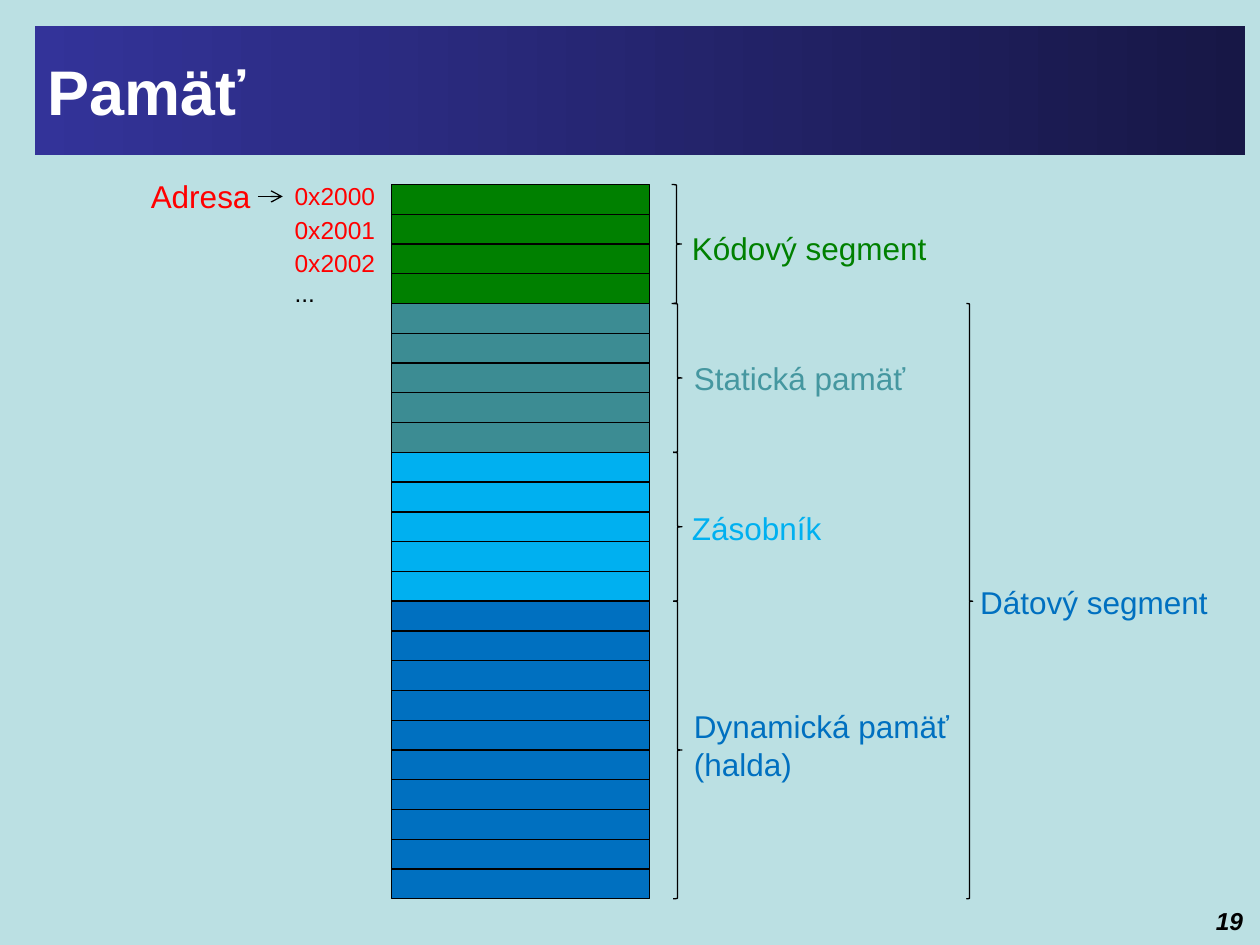
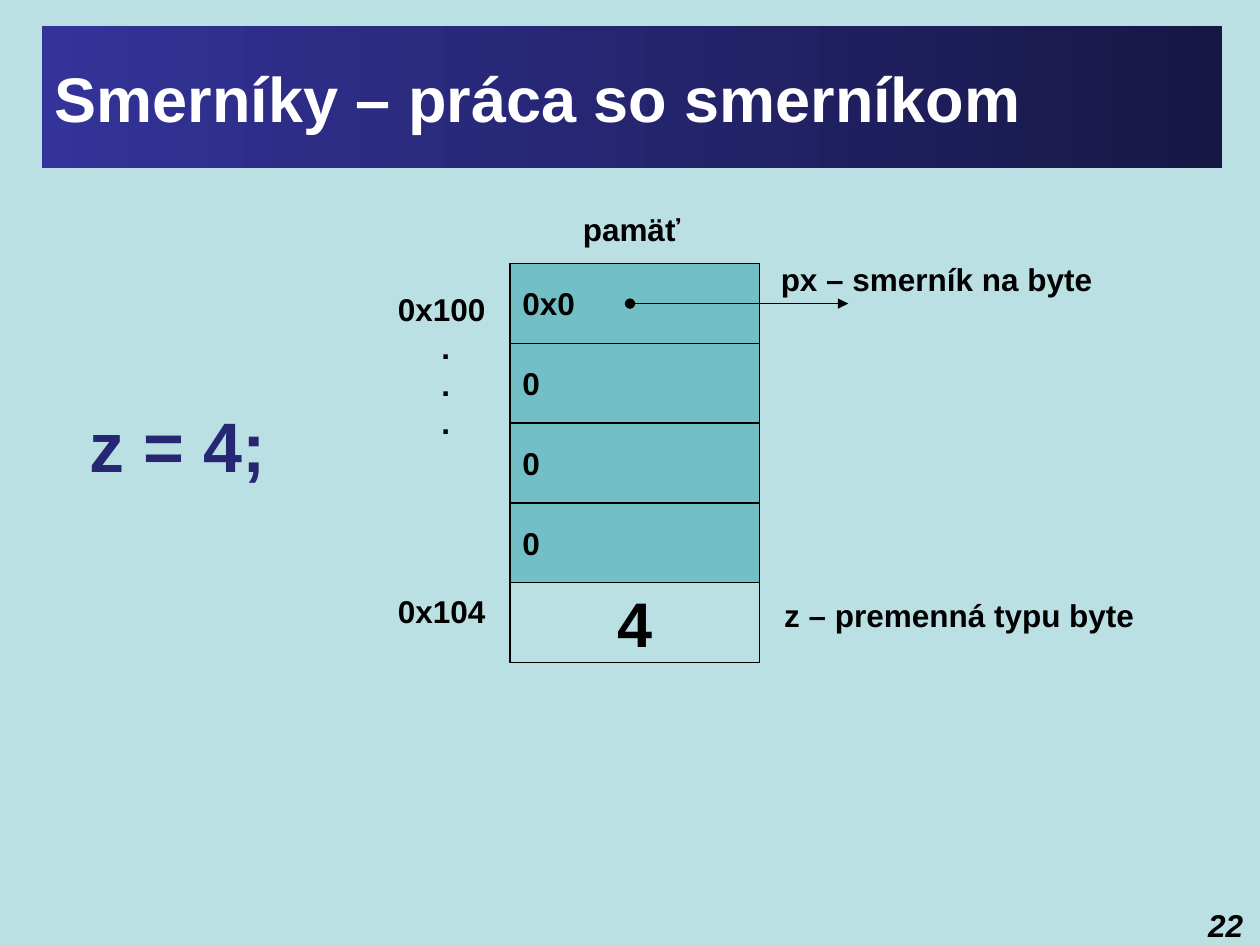
from lxml.etree import SubElement
from pptx import Presentation
from pptx.dml.color import RGBColor
from pptx.enum.shapes import MSO_CONNECTOR, MSO_SHAPE
from pptx.enum.text import MSO_ANCHOR, MSO_AUTO_SIZE, PP_ALIGN
from pptx.oxml.ns import qn
from pptx.util import Cm, Pt

BACKDROP = "BBE0E3"
BLACK = "000000"
WHITE = "FFFFFF"
RED = "FF0000"
NAVY = "262673"
BAND = ("333399", "171746")
GREEN = "008000"
TEAL = "3C8C93"
TEAL_TEXT = "4597A0"
SKY = "00B0F0"
BLUE = "0070C0"
POINTER_FILL = "72BFC5"


def rgb(value):
    """Turn a hex string into a colour."""
    return RGBColor.from_string(value)


class Deck:
    """Holds the shared style and the slide being built."""

    font_name = "Arial"
    rule = Pt(0.75)

    def __init__(self):
        """Start a 4:3 presentation with the shared background."""
        self.presentation = Presentation()
        self.presentation.slide_width = Cm(25.4)
        self.presentation.slide_height = Cm(19.05)
        backdrop = self.presentation.slide_master.background.fill
        backdrop.solid()
        backdrop.fore_color.rgb = rgb(BACKDROP)
        self.slide = None

    def style(self, paragraph, size, color, bold=False, italic=False, align=PP_ALIGN.LEFT):
        """Set the font and alignment of a paragraph."""
        paragraph.alignment = align
        font = paragraph.font
        font.name, font.size = self.font_name, Pt(size)
        font.bold, font.italic = bold, italic
        font.color.rgb = rgb(color)

    def new_slide(self, heading, left, width, height, number, number_size):
        """Add a slide with its gradient title band and page number."""
        self.slide = self.presentation.slides.add_slide(self.presentation.slide_layouts[5])
        title = self.slide.shapes.title
        title.left, title.top = Cm(left), Cm(0.53)
        title.width, title.height = Cm(width), Cm(height)
        title.fill.gradient()
        title.fill.gradient_angle = 0
        for stop, color in zip(title.fill.gradient_stops, BAND):
            stop.color.rgb = rgb(color)
        frame = title.text_frame
        frame.text = heading
        frame.auto_size = MSO_AUTO_SIZE.NONE
        frame.vertical_anchor = MSO_ANCHOR.MIDDLE
        self.style(frame.paragraphs[0], 36, WHITE, bold=True)
        self.label(str(number), 23.96, 18.14, 1.35, number_size, BLACK,
                   height=0.79, bold=True, italic=True, align=PP_ALIGN.RIGHT)

    def label(self, text, left, top, width, size, color, height=1.02, wrap=True, **look):
        """Add a text box, one paragraph per line, and return its paragraphs."""
        box = self.slide.shapes.add_textbox(Cm(left), Cm(top), Cm(width), Cm(height))
        frame = box.text_frame
        frame.text = text
        frame.word_wrap = wrap
        frame.auto_size = MSO_AUTO_SIZE.SHAPE_TO_FIT_TEXT
        for paragraph in frame.paragraphs:
            self.style(paragraph, size, color, **look)
        return frame.paragraphs

    def outlined(self, preset, left, top, width, height):
        """Add a preset shape with a thin black outline and no shadow."""
        shape = self.slide.shapes.add_shape(preset, Cm(left), Cm(top), Cm(width), Cm(height))
        shape.shadow.inherit = False
        shape.line.color.rgb = rgb(BLACK)
        shape.line.width = self.rule
        return shape

    def cell(self, left, top, width, height, color, text="", size=18, align=PP_ALIGN.LEFT):
        """Add one memory cell, with its value if it has one."""
        cell = self.outlined(MSO_SHAPE.RECTANGLE, left, top, width, height)
        cell.fill.solid()
        cell.fill.fore_color.rgb = rgb(color)
        if text:
            frame = cell.text_frame
            frame.text = text
            frame.vertical_anchor = MSO_ANCHOR.MIDDLE
            self.style(frame.paragraphs[0], size, BLACK, bold=True, align=align)

    def brace(self, left, top, width, height):
        """Add a right brace spanning a group of cells."""
        self.outlined(MSO_SHAPE.RIGHT_BRACE, left, top, width, height).fill.background()

    def arrow(self, start, end, y, tip, origin=None):
        """Add a horizontal arrow with the given line ends."""
        arrow = self.slide.shapes.add_connector(
            MSO_CONNECTOR.STRAIGHT, Cm(start), Cm(y), Cm(end), Cm(y))
        arrow.line.color.rgb = rgb(BLACK)
        arrow.line.width = self.rule
        outline = arrow.line._get_or_add_ln()
        if origin:
            SubElement(outline, qn("a:headEnd"), type=origin)
        SubElement(outline, qn("a:tailEnd"), type=tip)
        SubElement(outline.getparent(), qn("a:effectLst"))


def memory_slide(deck):
    """Show the memory segments as one column of cells."""
    deck.new_slide("Pamäť", 0.7, 24.4, 2.6, 19, 14)
    top, row = 3.72, 0.6
    # name, cells, fill, text colour, label left, label top, label width, brace left, brace width
    segments = [
        ("Kódový segment", 4, GREEN, GREEN, 13.7, 4.5, 6, 13.54, 0.2),
        ("Statická pamäť", 5, TEAL, TEAL_TEXT, 13.74, 7.12, 5.56, 13.57, 0.18),
        ("Zásobník", 5, SKY, SKY, 13.7, 10.13, 5.56, 13.57, 0.18),
        ("Dynamická pamäť (halda)", 10, BLUE, BLUE, 13.74, 14.13, 6.35, 13.57, 0.18),
    ]
    first = 0
    for name, count, fill, color, left, label_top, width, brace_left, brace_width in segments:
        for index in range(first, first + count):
            deck.cell(7.89, top + index * row, 5.21, row, fill)
        deck.brace(brace_left, top + first * row, brace_width, count * row)
        deck.label(name, left, label_top, width, 18, color)
        first += count

    code_cells = segments[0][1]
    deck.brace(19.48, top + code_cells * row, 0.13, (first - code_cells) * row)
    deck.label("Dátový segment", 19.51, 11.62, 6, 18, BLUE)

    addresses = [("0x2000", 3.53, RED), ("0x2001", 4.2, RED),
                 ("0x2002", 4.88, RED), ("...", 5.47, BLACK)]
    for address, address_top, color in addresses:
        deck.label(address, 5.69, address_top, 2.21, 14, color, height=0.86)
    deck.label("Adresa", 2.79, 3.44, 2.8, 18, RED)
    deck.arrow(5.2, 5.7, 3.96, "arrow")


def pointer_slide(deck):
    """Show a pointer and a variable in byte memory."""
    deck.new_slide("Smerníky – práca so smerníkom", 0.85, 23.78, 2.85, 22, 18)
    left, top, width, row = 10.28, 5.31, 5.03, 1.61
    pointer_bytes = ["0x0", "0", "0", "0"]
    for index, value in enumerate(pointer_bytes):
        deck.cell(left, top + index * row, width, row, POINTER_FILL, value)
    deck.cell(left, top + len(pointer_bytes) * row, width, row, BACKDROP, "4", 36, PP_ALIGN.CENTER)
    deck.arrow(12.7, 17.1, 6.12, "triangle", origin="oval")

    captions = [
        ("pamäť", 11.5, 4.11, 2.49, 18, BLACK),
        ("px – smerník na byte", 15.49, 5.12, 6.86, 18, BLACK),
        ("z – premenná typu byte", 15.56, 11.89, 7.65, 18, BLACK),
        ("z = 4;", 1.55, 7.98, 4.11, 40, NAVY),
    ]
    for caption in captions:
        deck.label(*caption, wrap=False, bold=True)

    addresses = deck.label("0x100\n.\n.\n.\n0x104", 7.77, 5.72, 2.59, 18, BLACK,
                           height=7.95, bold=True)
    for dot in addresses[1:-1]:
        properties = dot._p.get_or_add_pPr()
        properties.set("marL", str(Cm(0.88)))
        properties.set("indent", "0")
    addresses[-1].space_before = Pt(86)


def main():
    """Build both slides and save them."""
    deck = Deck()
    memory_slide(deck)
    pointer_slide(deck)
    deck.presentation.save("out.pptx")


main()
